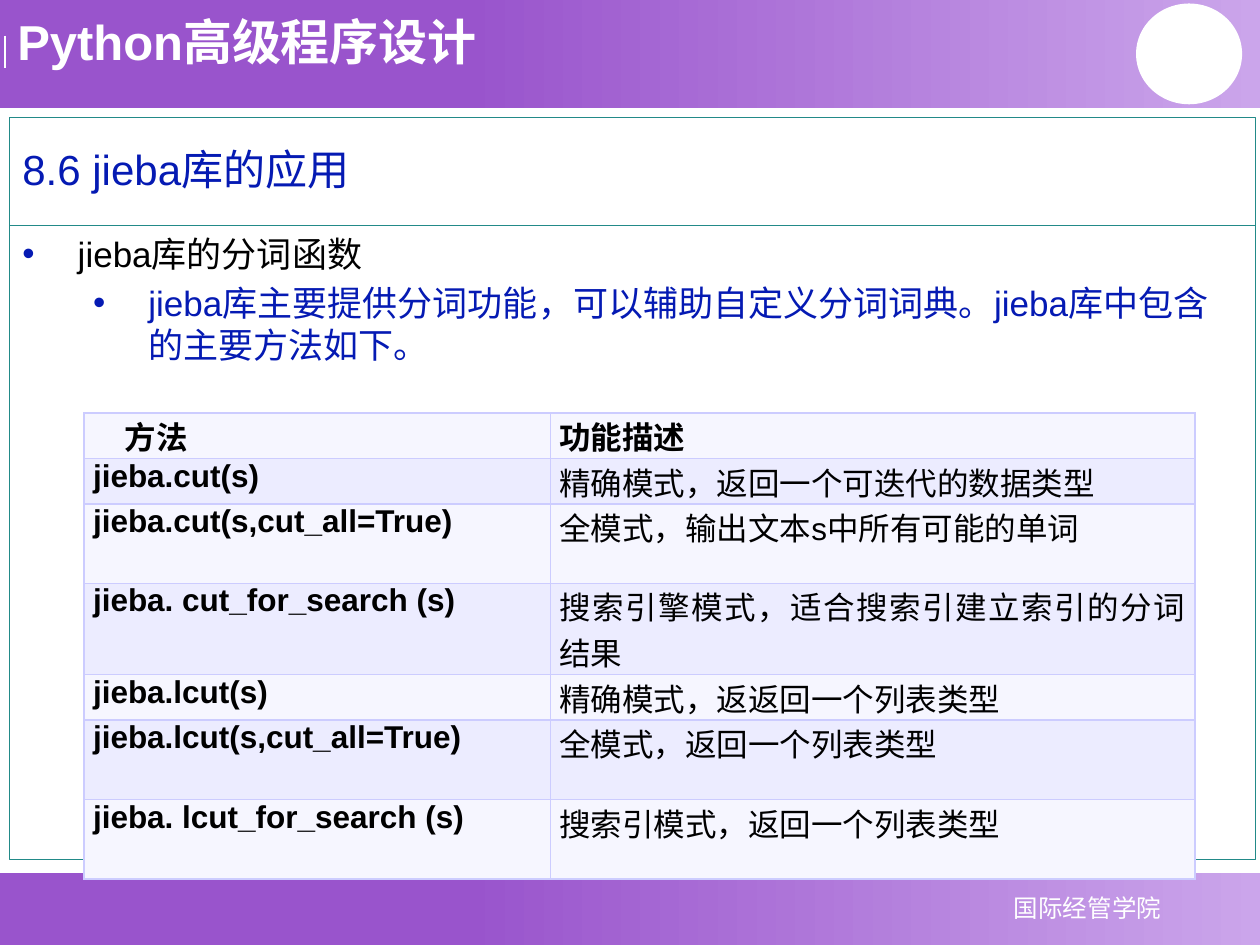
"""Build a slide on the word-cutting functions of the jieba library."""
from lxml import etree
from pptx import Presentation
from pptx import util as u
from pptx.dml import color as c
from pptx.enum import shapes, text
from pptx.oxml import ns

HUES = {
    "deep": "9954CC", "pale": "CBA5EB", "white": "FFFFFF", "black": "000000",
    "blue": "051AB3", "teal": "228A88", "edge": "CCCCFF",
    "light": "F6F6FF", "dark": "ECECFF",
}
ROWS = [
    ("方法", "功能描述", 26),
    ("jieba.cut(s)", "精确模式，返回一个可迭代的数据类型", 26),
    ("jieba.cut(s,cut_all=True)", "全模式，输出文本s中所有可能的单词", 45.4),
    ("jieba. cut_for_search (s)", "搜索引擎模式，适合搜索引建立索引的分词结果", 52.2),
    ("jieba.lcut(s)", "精确模式，返返回一个列表类型", 26),
    ("jieba.lcut(s,cut_all=True)", "全模式，返回一个列表类型", 45.4),
    ("jieba. lcut_for_search (s)", "搜索引模式，返回一个列表类型", 45.4),
]


def hue(name):
    return c.RGBColor.from_string(HUES[name])


def write(para, words, size, tint, bold=False, **form):
    run = para.add_run()
    run.text = words
    look = {"name": "Arial", "size": u.Pt(size), "bold": bold}
    for key, val in look.items():
        setattr(run.font, key, val)
    run.font.color.rgb = hue(tint)
    for key, val in form.items():
        setattr(para, key, val)


deck = Presentation()
deck.slide_width, deck.slide_height = u.Pt(720), u.Pt(540)
slide = deck.slides.add_slide(deck.slide_layouts[1])
items = slide.shapes

for top, high in ((499, 41), (0, 62)):
    band = items.add_shape(shapes.MSO_SHAPE.RECTANGLE, 0, u.Pt(top), u.Pt(720), u.Pt(high))
    band.shadow.inherit = False
    band.line.fill.background()
    band.fill.gradient()
    band.fill.gradient_angle = 0
    for stop, (spot, name) in zip(band.fill.gradient_stops, ((0.37, "deep"), (1, "pale"))):
        stop.position = spot
        stop.color.rgb = hue(name)

tick = items.add_connector(shapes.MSO_CONNECTOR.STRAIGHT, u.Pt(2.9), u.Pt(20.3), u.Pt(2.9), u.Pt(38.7))
tick.line.color.rgb = hue("white")
tick.line.width = u.Pt(0.75)
etree.SubElement(tick._element.spPr, ns.qn("a:effectLst"))

disc = items.add_shape(shapes.MSO_SHAPE.OVAL, u.Pt(649.2), u.Pt(2), u.Pt(60.6), u.Pt(57.6))
disc.shadow.inherit = False
disc.fill.solid()
disc.fill.fore_color.rgb = hue("white")
disc.line.fill.background()

labels = [
    ("国际经管学院", (538, 506.3, 167, 24.5), 14, False, text.PP_ALIGN.CENTER, text.MSO_ANCHOR.MIDDLE),
    ("Python高级程序设计", (2.8, 3.3, 295, 41), 28, True, text.PP_ALIGN.LEFT, text.MSO_ANCHOR.TOP),
]
for words, box, size, bold, side, hold in labels:
    frame = items.add_textbox(*map(u.Pt, box)).text_frame
    frame.word_wrap = True
    frame.auto_size = text.MSO_AUTO_SIZE.SHAPE_TO_FIT_TEXT
    frame.vertical_anchor = hold
    write(frame.paragraphs[0], words, size, "white", bold, alignment=side)

title, body = items.title, slide.placeholders[1]
panes = [
    (title, 67, 62, text.MSO_ANCHOR.MIDDLE),
    (body, 129, 362, text.MSO_ANCHOR.TOP),
]
for pane, top, high, hold in panes:
    place = {"left": 5.6, "top": top, "width": 712, "height": high}
    for key, val in place.items():
        setattr(pane, key, u.Pt(val))
    pane.line.color.rgb = hue("teal")
    pane.line.width = u.Pt(0.75)
    pane.text_frame.auto_size = text.MSO_AUTO_SIZE.NONE
    pane.text_frame.vertical_anchor = hold

write(title.text_frame.paragraphs[0], "8.6 jieba库的应用", 24, "blue",
      alignment=text.PP_ALIGN.LEFT, line_spacing=0.9)

points = [
    ("jieba库的分词函数", "black", 31.6),
    ("jieba库主要提供分词功能，可以辅助自定义分词词典。jieba库中包含的主要方法如下。", "blue", 72),
]
for rank, (words, tint, inset) in enumerate(points):
    frame = body.text_frame
    para = frame.add_paragraph() if rank else frame.paragraphs[0]
    props = para._p.get_or_add_pPr()
    props.set("marL", str(u.Pt(inset)))
    props.set("indent", str(u.Pt(-31.6)))
    shade = etree.SubElement(props, ns.qn("a:buClr"))
    etree.SubElement(shade, ns.qn("a:srgbClr"), val=HUES["blue"])
    etree.SubElement(props, ns.qn("a:buFont"), typeface="Arial")
    etree.SubElement(props, ns.qn("a:buChar"), char="•")
    write(para, words, 20, tint, level=rank, space_before=u.Pt(0), space_after=u.Pt(4))

high = sum(row[2] for row in ROWS)
grid = items.add_table(len(ROWS), 2, u.Pt(48), u.Pt(236), u.Pt(635), u.Pt(high)).table
for col, wide in zip(grid.columns, (266.5, 368.5)):
    col.width = u.Pt(wide)
for r, (*words, tall) in enumerate(ROWS):
    grid.rows[r].height = u.Pt(tall)
    for k, word in enumerate(words):
        cell = grid.cell(r, k)
        pads = {"margin_left": 5.2, "margin_right": 5.2, "margin_top": 0, "margin_bottom": 0}
        for key, val in pads.items():
            setattr(cell, key, u.Pt(val))
        props = cell._tc.get_or_add_tcPr()
        for side in "LRTB":
            edge = etree.SubElement(props, ns.qn("a:ln" + side), w=str(u.Pt(1)))
            fill = etree.SubElement(edge, ns.qn("a:solidFill"))
            etree.SubElement(fill, ns.qn("a:srgbClr"), val=HUES["edge"])
        cell.fill.solid()
        cell.fill.fore_color.rgb = hue("dark" if r % 2 else "light")
        write(cell.text_frame.paragraphs[0], word, 18, "black", r == 0 or k == 0,
              alignment=text.PP_ALIGN.JUSTIFY)
head = grid.cell(0, 0).text_frame.paragraphs[0]
head._p.get_or_add_pPr().set("indent", str(u.Pt(18)))

deck.save("out.pptx")
